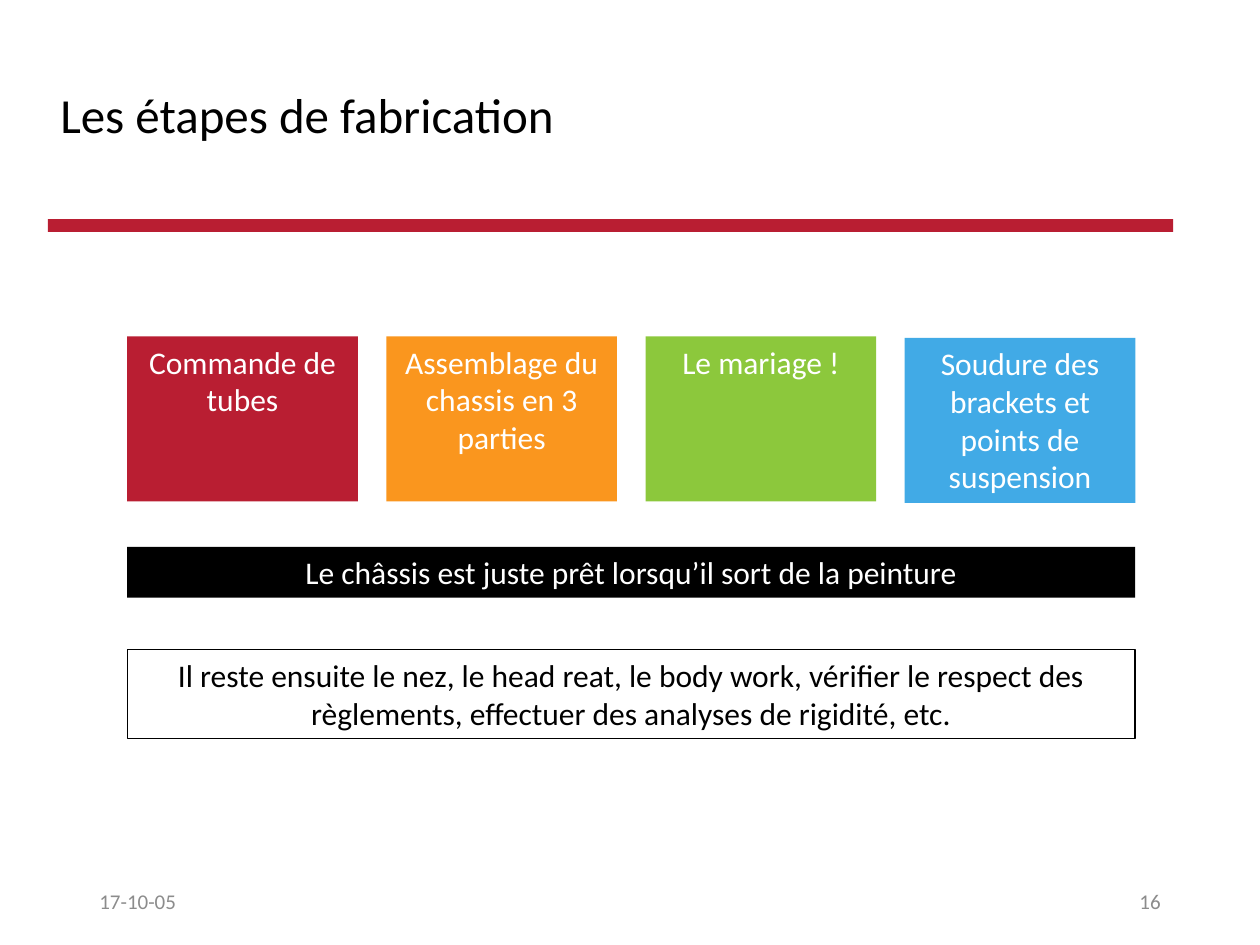
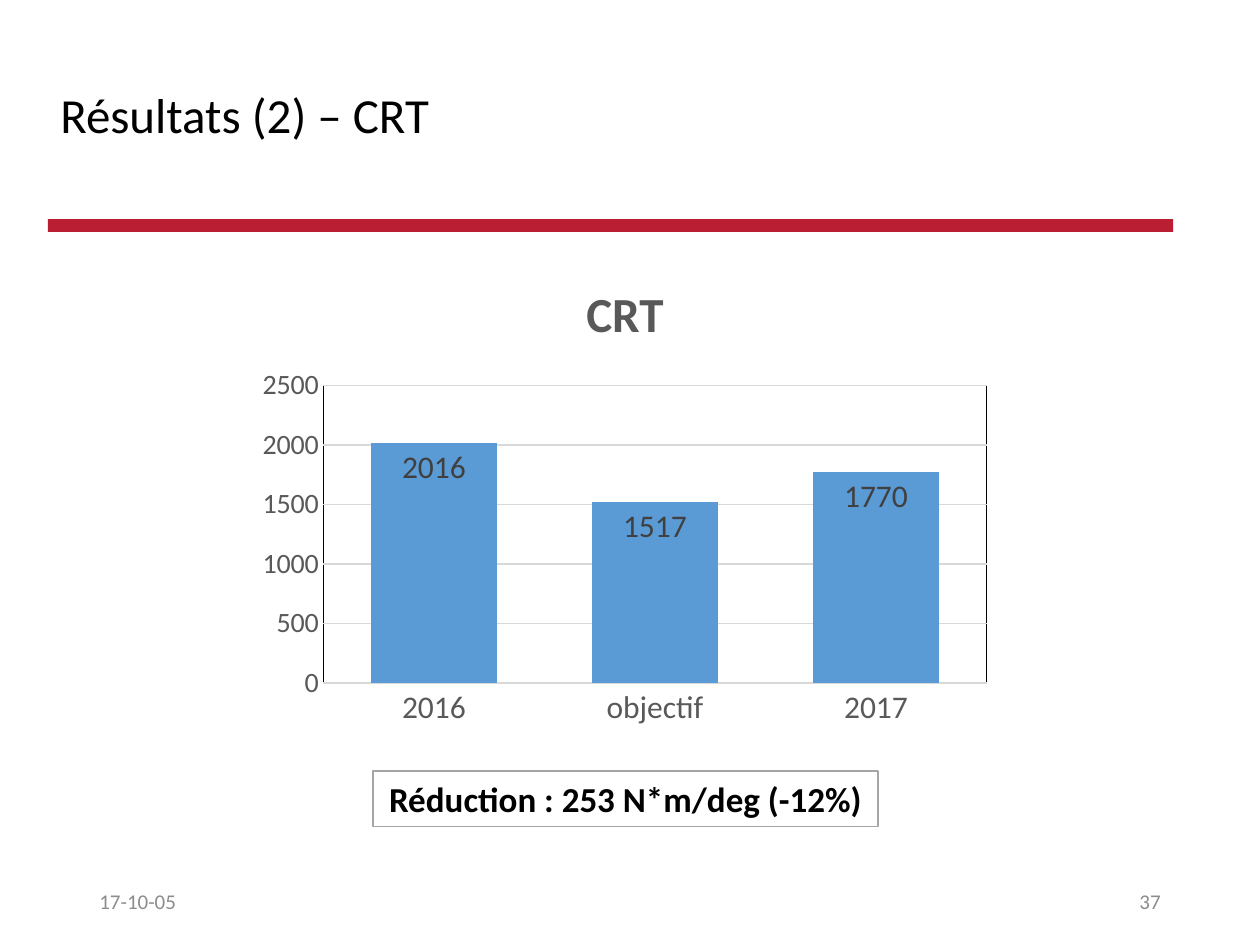
from lxml.etree import fromstring
from pptx import Presentation
from pptx.chart.data import CategoryChartData
from pptx.dml.color import RGBColor
from pptx.enum.chart import XL_CHART_TYPE, XL_LABEL_POSITION, XL_TICK_MARK
from pptx.enum.shapes import MSO_SHAPE
from pptx.enum.text import MSO_ANCHOR, PP_ALIGN
from pptx.util import Pt

RED, BLACK, WHITE = "B91E32", "000000", "FFFFFF"
DARK_GREY, GRID_GREY, FOOTER_GREY = "595959", "D9D9D9", "8C8C8C"
TITLE = {"size": Pt(28)}
FOOTER = {"size": Pt(12)}
BODY = {"size": Pt(18)}
RESULT = {"size": Pt(20), "bold": True}


def set_font(font, color, formats):
    for name, value in {"name": "Calibri", **formats}.items():
        setattr(font, name, value)
    font.color.rgb = RGBColor.from_string(color)


def add_box(page, area, text="", formats=BODY, color=WHITE, fill=None, line=None,
            align=PP_ALIGN.CENTER, anchor=MSO_ANCHOR.TOP):
    """Add a rectangle when filled, otherwise a text box; line is (colour, width)."""
    area = [Pt(value) for value in area]
    if fill:
        box = page.shapes.add_shape(MSO_SHAPE.RECTANGLE, *area)
        box.shadow.inherit = False
        box.fill.solid()
        box.fill.fore_color.rgb = RGBColor.from_string(fill)
        if line:
            box.line.color.rgb = RGBColor.from_string(line[0])
            box.line.width = Pt(line[1])
        else:
            box.line.fill.background()
    else:
        box = page.shapes.add_textbox(*area)
    frame = box.text_frame
    frame.word_wrap = True
    frame.vertical_anchor = anchor
    if text:
        para = frame.paragraphs[0]
        para.alignment = align
        span = para.add_run()
        span.text = text
        set_font(span.font, color, formats)
    return box


deck = Presentation()
deck.slide_width, deck.slide_height = Pt(720), Pt(540)

# Shared parts: title, red band, date and page number
pages = []
for title, number in [("Les étapes de fabrication", "16"), ("Résultats (2) – CRT", "37")]:
    page = deck.slides.add_slide(deck.slide_layouts[6])
    add_box(page, (27.4, 125.3, 643, 7.2), fill=RED)
    for area, text, formats, color, align in [
        ((27.4, 18.7, 643, 96.5), title, TITLE, BLACK, PP_ALIGN.LEFT),
        ((49.7, 500.4, 162, 28.8), "17-10-05", FOOTER, FOOTER_GREY, PP_ALIGN.LEFT),
        ((508.3, 500.4, 162, 28.8), number, FOOTER, FOOTER_GREY, PP_ALIGN.RIGHT),
    ]:
        box = add_box(page, area, text, formats, color, align=align, anchor=MSO_ANCHOR.MIDDLE)
        box.text_frame.paragraphs[0].line_spacing = 0.9 if formats is TITLE else 1.0
    pages.append(page)
steps_page, results_page = pages

# Manufacturing steps
steps = [
    ("Commande de tubes", RED, 192.2),
    ("Assemblage du chassis en 3 parties", "FA961E", 192.2),
    ("Le mariage !", "8CC83C", 192.2),
    ("Soudure des brackets et points de suspension", "41AAE6", 193),
]
for index, (text, fill, top) in enumerate(steps):
    add_box(steps_page, (72.7 + 148.1 * index, top, 131.8, 94.3), text, fill=fill)

# Summary bars
add_box(steps_page, (72.7, 312.5, 576, 29),
        "Le châssis est juste prêt lorsqu’il sort de la peinture", fill=BLACK)
add_box(steps_page, (72.7, 371.2, 576, 51),
        "Il reste ensuite le nez, le head reat, le body work, vérifier le respect des "
        "règlements, effectuer des analyses de rigidité, etc.",
        color=BLACK, fill=WHITE, line=(BLACK, 0.75))

# Column chart
data = CategoryChartData()
data.categories = ["2016", "objectif", "2017"]
data.add_series("Series 1", [2016, 1517, 1770])
chart = results_page.shapes.add_chart(
    XL_CHART_TYPE.COLUMN_CLUSTERED, Pt(141.8), Pt(146.2), Pt(430.6), Pt(274.3), data).chart
set_font(chart.font, BLACK, {"size": Pt(10)})
chart.has_legend = False
chart.has_title = True
title_para = chart.chart_title.text_frame.paragraphs[0]
title_span = title_para.add_run()
title_span.text = "CRT"
set_font(title_span.font, DARK_GREY, {"size": Pt(28), "bold": True})

plot = chart.plots[0]
for name, value in {"gap_width": 75, "overlap": 40, "vary_by_categories": False,
                    "has_data_labels": True}.items():
    setattr(plot, name, value)
columns = plot.series[0].format.fill
columns.solid()
columns.fore_color.rgb = RGBColor.from_string("5B9BD5")
labels = plot.data_labels
labels.show_value = True
labels.position = XL_LABEL_POSITION.INSIDE_END
set_font(labels.font, "404040", BODY)

# Axes and gridlines
category_axis, value_axis = chart.category_axis, chart.value_axis
for axis, size in [(category_axis, 18), (value_axis, 16)]:
    axis.major_tick_mark = axis.minor_tick_mark = XL_TICK_MARK.NONE
    set_font(axis.tick_labels.font, DARK_GREY, {"size": Pt(size)})
value_axis.minimum_scale, value_axis.maximum_scale, value_axis.major_unit = 0, 2500, 500
value_axis.has_major_gridlines = True
value_axis.format.line.fill.background()
for line in (category_axis.format.line, value_axis.major_gridlines.format.line):
    line.color.rgb = RGBColor.from_string(GRID_GREY)
    line.width = Pt(0.75)

# Plot area position and thin black frame
NAMESPACES = ('xmlns:c="http://schemas.openxmlformats.org/drawingml/2006/chart" '
              'xmlns:a="http://schemas.openxmlformats.org/drawingml/2006/main"')
plot_area = chart.element.find(".//{*}plotArea")
for layout in plot_area.findall("{*}layout"):
    plot_area.remove(layout)
sides = "".join(f'<c:{side} val="{value}"/>' for side, value in
                [("x", 0.1), ("y", 0.27), ("w", 0.88), ("h", 0.62)])
plot_area.insert(0, fromstring(
    f'<c:layout {NAMESPACES}><c:manualLayout><c:layoutTarget val="inner"/>'
    f'<c:xMode val="edge"/><c:yMode val="edge"/>{sides}</c:manualLayout></c:layout>'))
plot_area.append(fromstring(
    f'<c:spPr {NAMESPACES}><a:noFill/><a:ln w="3175"><a:solidFill>'
    f'<a:srgbClr val="{BLACK}"/></a:solidFill></a:ln></c:spPr>'))

# Result box
add_box(results_page, (213.1, 440.6, 288.7, 31.7), "Réduction : 253 N*m/deg (-12%)",
        RESULT, BLACK, fill=WHITE, line=("A5A5A5", 1))

deck.save("out.pptx")
